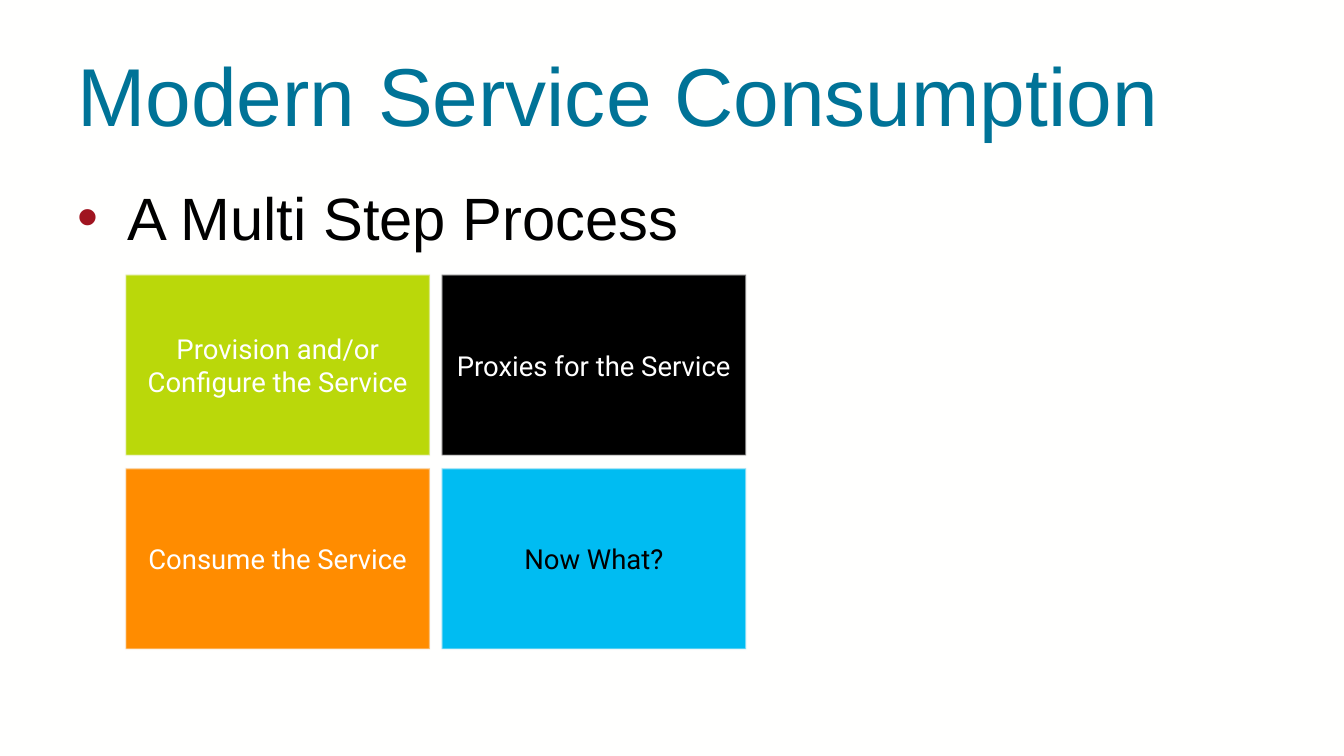
from lxml import etree
from pptx import Presentation
from pptx.dml.color import RGBColor
from pptx.enum.shapes import MSO_SHAPE
from pptx.enum.text import MSO_ANCHOR, MSO_AUTO_SIZE, PP_ALIGN
from pptx.oxml.ns import qn
from pptx.util import Inches, Pt

RECTANGLE = MSO_SHAPE.RECTANGLE
TOP, MIDDLE = MSO_ANCHOR.TOP, MSO_ANCHOR.MIDDLE
LEFT, CENTER = PP_ALIGN.LEFT, PP_ALIGN.CENTER
NO_AUTOFIT = MSO_AUTO_SIZE.NONE

BACKGROUND = RGBColor(0xFF, 0xFF, 0xFE)
TEAL = RGBColor(0x00, 0x73, 0x97)
RED = RGBColor(0xA0, 0x14, 0x20)
BLACK = RGBColor(0x00, 0x00, 0x00)
WHITE = RGBColor(0xFF, 0xFF, 0xFF)
LIME = RGBColor(0xBA, 0xD8, 0x0A)
ORANGE = RGBColor(0xFF, 0x8C, 0x00)
SKY = RGBColor(0x00, 0xBC, 0xF2)
TILE_EDGE = RGBColor(0xF9, 0xF9, 0xF9)

HEADING = "Modern Service Consumption"
BULLET = "A Multi Step Process"
STEPS = [
    [("Provision and/or Configure the Service", LIME, WHITE),
     ("Proxies for the Service", BLACK, WHITE)],
    [("Consume the Service", ORANGE, WHITE),
     ("Now What?", SKY, BLACK)],
]

MARGIN, CONTENT_WIDTH = 0.68, 12.24
GRID_LEFT, GRID_TOP = 1.27, 2.78
TILE_WIDTH, TILE_HEIGHT = 3.08, 1.83
COLUMN_STEP, ROW_STEP = 3.2, 1.96


def place(shape, left, top, width, height):
    shape.left, shape.top = Inches(left), Inches(top)
    shape.width, shape.height = Inches(width), Inches(height)


def write(shape, text, size, color, font="Arial", align=LEFT, anchor=MIDDLE):
    frame = shape.text_frame
    frame.text = text
    frame.word_wrap = True
    frame.auto_size = NO_AUTOFIT
    frame.vertical_anchor = anchor
    paragraph = frame.paragraphs[0]
    paragraph.alignment = align
    letters = paragraph.runs[0].font
    letters.name = font
    letters.size = Pt(size)
    letters.color.rgb = color
    return paragraph


def style_bullet(paragraph, color, indent):
    properties = paragraph._p.get_or_add_pPr()
    properties.set("marL", str(Inches(indent)))
    properties.set("indent", str(-Inches(indent)))
    bullet_color = etree.SubElement(properties, qn("a:buClr"))
    etree.SubElement(bullet_color, qn("a:srgbClr"), val=str(color))
    etree.SubElement(properties, qn("a:buFont"), typeface="Arial")
    etree.SubElement(properties, qn("a:buChar"), char="•")


def add_tile(slide, row, column, text, fill, text_color):
    tile = slide.shapes.add_shape(
        RECTANGLE,
        Inches(GRID_LEFT + column * COLUMN_STEP),
        Inches(GRID_TOP + row * ROW_STEP),
        Inches(TILE_WIDTH), Inches(TILE_HEIGHT))
    tile.shadow.inherit = False
    tile.fill.solid()
    tile.fill.fore_color.rgb = fill
    tile.line.color.rgb = TILE_EDGE
    tile.line.width = Pt(1.35)
    edge = tile.line._ln.find(".//" + qn("a:srgbClr"))
    etree.SubElement(edge, qn("a:alpha"), val="50000")
    tile.text_frame.margin_left = tile.text_frame.margin_right = 0
    write(tile, text, 20, text_color, font="Roboto", align=CENTER)


def main():
    deck = Presentation()
    deck.slide_width, deck.slide_height = Inches(13.6), Inches(7.65)
    slide = deck.slides.add_slide(deck.slide_layouts[1])
    slide.background.fill.solid()
    slide.background.fill.fore_color.rgb = BACKGROUND

    heading = slide.shapes.title
    place(heading, MARGIN, 0.31, CONTENT_WIDTH, 1.27)
    write(heading, HEADING, 59.8, TEAL)

    body = slide.placeholders[1]
    place(body, MARGIN, 1.78, CONTENT_WIDTH, 5.05)
    process = write(body, BULLET, 43.5, BLACK, anchor=TOP)
    style_bullet(process, RED, 0.51)

    for row, steps in enumerate(STEPS):
        for column, (text, fill, text_color) in enumerate(steps):
            add_tile(slide, row, column, text, fill, text_color)

    deck.save("out.pptx")


if __name__ == "__main__":
    main()
